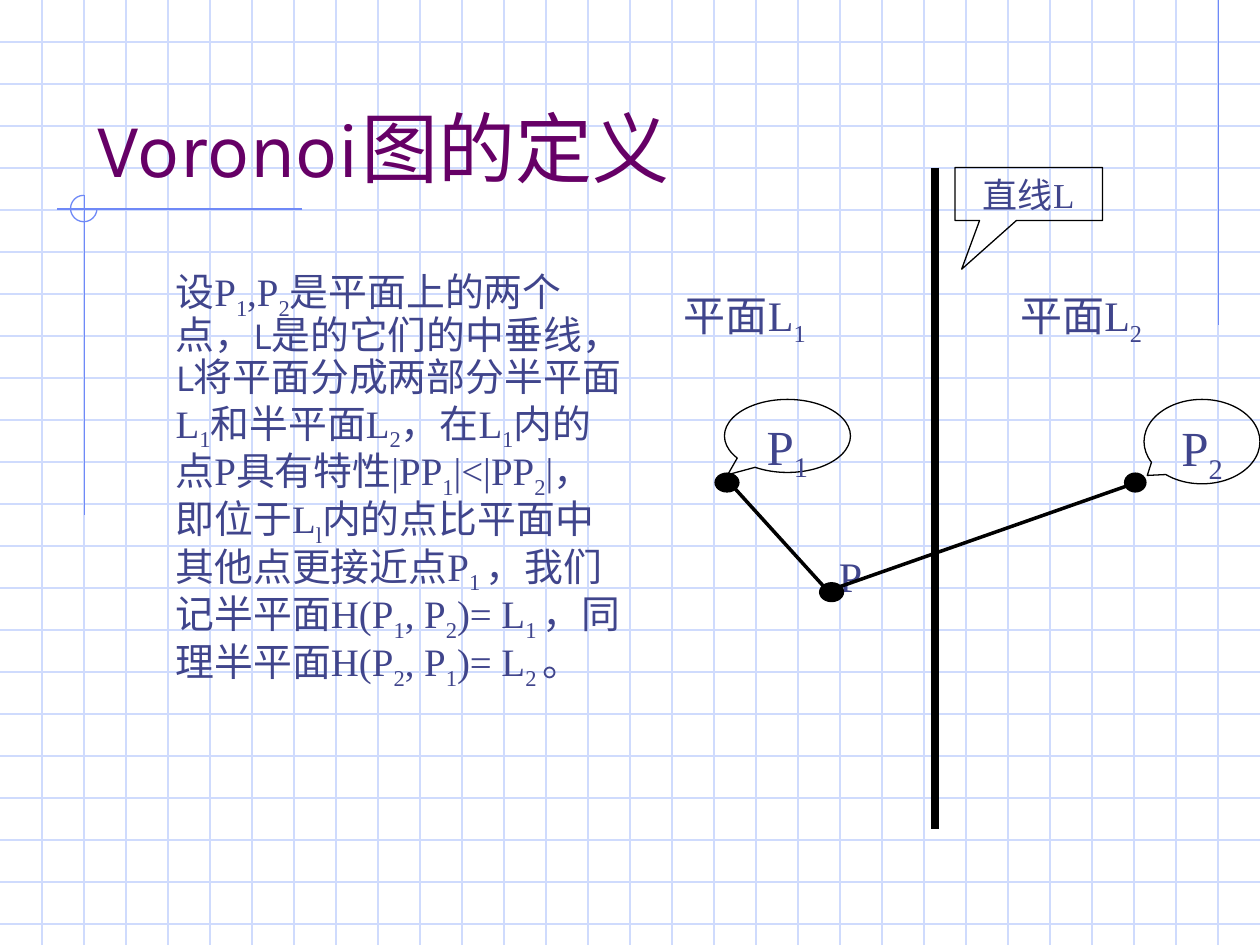
from lxml import etree
from pptx import Presentation
from pptx.dml.color import RGBColor
from pptx.enum import lang, shapes, text
from pptx.oxml import ns
from pptx.util import Inches, Pt

GRID = RGBColor(0xCF, 0xDB, 0xFD)
ACCENT = RGBColor(0x6F, 0x89, 0xF7)
PURPLE = RGBColor(0x66, 0x00, 0x66)
INK = RGBColor(0x40, 0x45, 0x8C)
BLACK = RGBColor(0x00, 0x00, 0x00)
SERIF = "Times New Roman"
SANS = "Karla"
WIDTH, HEIGHT = 10, 7.5
CELL = 1 / 3

DEFINITION = (
    "\t设P~1~,P~2~是平面上的两个点，*L*是的它们的中垂线，*L*将平面分成两部分半平面L~1~"
    "和半平面L~2~，在L~1~内的点P具有特性|PP~1~|<|PP~2~|，即位于L~l~"
    "内的点比平面中其他点更接近点P~1 ~，我们记半平面H(P~1~, P~2~)= L~1 ~"
    "，同理半平面H(P~2~, P~1~)= L~2 ~。"
)


def add_line(slide, start, end, color, weight=0.75):
    line = slide.shapes.add_connector(
        shapes.MSO_CONNECTOR.STRAIGHT, *map(Inches, start + end))
    line.line.color.rgb = color
    line.line.width = Pt(weight)
    etree.SubElement(line._element.spPr, ns.qn("a:effectLst"))


def add_outline(slide, kind, box, color, adjustments):
    outline = slide.shapes.add_shape(kind, *map(Inches, box))
    outline.shadow.inherit = False
    outline.fill.background()
    outline.line.color.rgb = color
    outline.line.width = Pt(0.75)
    for index, value in enumerate(adjustments):
        outline.adjustments[index] = value
    return outline


def add_point(slide, left, top, width):
    point = slide.shapes.add_shape(
        shapes.MSO_SHAPE.OVAL, *map(Inches, (left, top, width, 0.16)))
    point.shadow.inherit = False
    point.fill.solid()
    point.fill.fore_color.rgb = BLACK
    point.line.fill.background()


def write(paragraph, marked, size, font=SERIF, color=INK):
    """Parts between ~ are subscripts, parts between * are sans serif."""
    for level, part in enumerate(marked.split("~")):
        for style, piece in enumerate(part.split("*")):
            if not piece:
                continue
            run = paragraph.add_run()
            run.text = piece
            run.font.size = Pt(size)
            run.font.name = SANS if style % 2 else font
            run.font.color.rgb = color
            run.font.language_id = lang.MSO_LANGUAGE_ID.SIMPLIFIED_CHINESE
            if level % 2:
                run.font._element.set("baseline", "-25000")


def add_text(slide, box, marked, size, font=SERIF, color=INK, wrap=True,
             anchor=text.MSO_ANCHOR.TOP):
    frame = slide.shapes.add_textbox(*map(Inches, box)).text_frame
    frame.word_wrap = wrap
    frame.vertical_anchor = anchor
    paragraph = frame.paragraphs[0]
    write(paragraph, marked, size, font, color)
    return paragraph


def add_callout(slide, kind, box, tip, marked, size):
    callout = add_outline(slide, kind, box, BLACK, tip)
    frame = callout.text_frame
    frame.word_wrap = True
    frame.vertical_anchor = text.MSO_ANCHOR.TOP
    paragraph = frame.paragraphs[0]
    paragraph.alignment = text.PP_ALIGN.CENTER
    write(paragraph, marked, size)


def add_grid(slide):
    for row in range(1, 23):
        add_line(slide, (0, row * CELL), (WIDTH, row * CELL), GRID)
    for column in range(1, 30):
        add_line(slide, (column * CELL, 0), (column * CELL, HEIGHT), GRID)


def add_ornaments(slide):
    add_line(slide, (9.67, 0), (9.67, 2.58), ACCENT)
    add_line(slide, (2.4, 1.66), (0.45, 1.66), ACCENT)
    add_line(slide, (0.67, 1.55), (0.67, 4.09), ACCENT)
    add_outline(slide, shapes.MSO_SHAPE.ARC, (0.56, 1.55, 0.21, 0.21),
                ACCENT, (0, 162))


def add_definition(slide):
    add_text(slide, (0.67, 0.33, 8.5, 1.25), "Voronoi图的定义", 44, SANS,
             PURPLE, anchor=text.MSO_ANCHOR.BOTTOM)
    definition = add_text(slide, (0.92, 2.08, 4.17, 4.5), DEFINITION, 22.2)
    definition.line_spacing = 0.9
    definition.space_before = Pt(6)
    layout = definition._p.get_or_add_pPr()
    layout.set("marL", str(Pt(27)))
    layout.set("indent", str(Pt(-27)))
    layout.set("hangingPunct", "0")


def add_diagram(slide):
    add_point(slide, 5.67, 3.75, 0.2)
    add_point(slide, 8.92, 3.75, 0.18)
    add_line(slide, (7.42, 1.33), (7.42, 6.58), BLACK, 5)
    box_callout = shapes.MSO_SHAPE.RECTANGULAR_CALLOUT
    oval_callout = shapes.MSO_SHAPE.OVAL_CALLOUT
    add_callout(slide, box_callout, (7.58, 1.33, 1.17, 0.42),
                (-0.455, 1.421), "直线L", 20)
    add_callout(slide, oval_callout, (5.75, 3.17, 1, 0.58),
                (-0.474, 0.53), "P~1~", 28)
    add_callout(slide, oval_callout, (9.08, 3.17, 0.92, 0.67),
                (-0.472, 0.401), "P~2~", 28)
    for left, name in ((5.33, "平面L~1~"), (8, "平面L~2~")):
        plane = add_text(slide, (left, 2.25, 1.5, 0.56), name, 24)
        plane.space_before = Pt(15)
    add_text(slide, (6.56, 4.32, 0.38, 0.5), "P", 24, wrap=False)
    add_point(slide, 6.5, 4.62, 0.2)
    for site in ((5.79, 3.83), (9.02, 3.83)):
        add_line(slide, site, (6.57, 4.69), BLACK, 2)


def main():
    deck = Presentation()
    deck.slide_width = Inches(WIDTH)
    deck.slide_height = Inches(HEIGHT)
    slide = deck.slides.add_slide(deck.slide_layouts[6])
    add_grid(slide)
    add_ornaments(slide)
    add_definition(slide)
    add_diagram(slide)
    deck.save("out.pptx")


if __name__ == "__main__":
    main()
